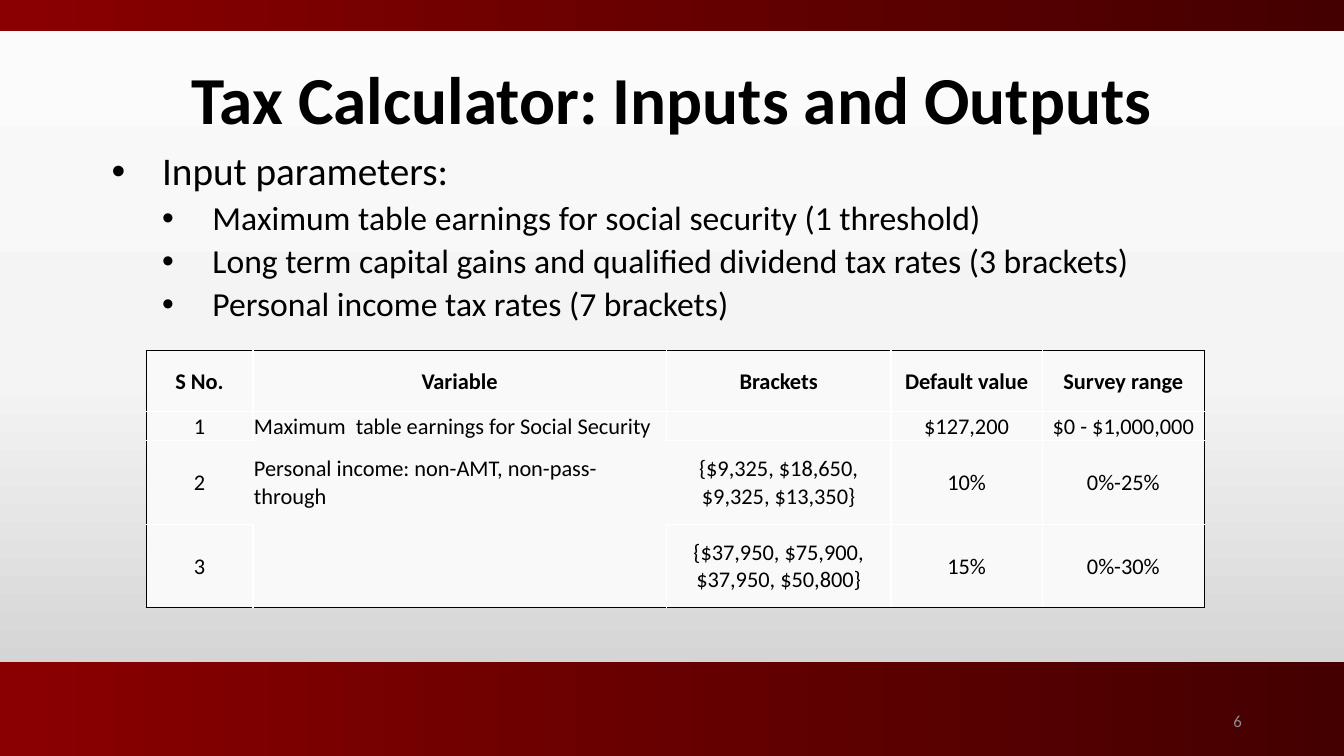
from copy import deepcopy

from lxml import etree
from pptx import Presentation
from pptx import util as u
from pptx.dml.color import RGBColor
from pptx.enum import shapes, text
from pptx.oxml import ns

BLACK = RGBColor(0x00, 0x00, 0x00)
WHITE = RGBColor(0xFF, 0xFF, 0xFF)
NUMBER_GRAY = RGBColor(0x8C, 0x8C, 0x8C)
CELL_GRAY = RGBColor(0xF9, 0xF9, 0xF9)
BAND_COLORS = [RGBColor(0x8A, 0x00, 0x00), RGBColor(0x44, 0x00, 0x00)]
BACKDROP_COLORS = [RGBColor(0xFB, 0xFB, 0xFB), RGBColor(0xF4, 0xF4, 0xF4), RGBColor(0xCB, 0xCB, 0xCB)]

presentation = Presentation()
presentation.slide_width = u.Inches(13.33)
presentation.slide_height = u.Inches(7.5)
slide = presentation.slides.add_slide(presentation.slide_layouts[6])
column = presentation.slide_width / 160
row = presentation.slide_height / 90


def grid(left, top, width, height):
    return [round(n * step) for n, step in zip((left, top, width, height), (column, row) * 2)]


def write(paragraph, words, size, color=BLACK, bold=False, align=text.PP_ALIGN.LEFT):
    paragraph.alignment = align
    run = paragraph.add_run()
    run.text = words
    run.font.name = "Calibri"
    run.font.size = u.Pt(size)
    run.font.bold = bold
    run.font.color.rgb = color


backdrop = slide.background.fill
backdrop.gradient()
backdrop.gradient_angle = 270
stop_list = slide.element.find(".//" + ns.qn("a:gsLst"))
stop_list.insert(1, deepcopy(stop_list[0]))
for index, (stop, color) in enumerate(zip(backdrop.gradient_stops, BACKDROP_COLORS)):
    stop.position = index / 2
    stop.color.rgb = color

title = slide.shapes.add_textbox(*grid(20, 5.64, 120, 11.52)).text_frame
title.word_wrap = True
title.vertical_anchor = text.MSO_ANCHOR.BOTTOM
title.paragraphs[0].line_spacing = 0.9
write(title.paragraphs[0], "Tax Calculator: Inputs and Outputs", 48, bold=True, align=text.PP_ALIGN.CENTER)

for top, height in [(78.84, 11.16), (0, 3.72)]:
    band = slide.shapes.add_shape(shapes.MSO_SHAPE.RECTANGLE, *grid(0, top, 160, height))
    band.shadow.inherit = False
    band.line.fill.background()
    band.fill.gradient()
    band.fill.gradient_angle = 0
    for position, (stop, color) in enumerate(zip(band.fill.gradient_stops, BAND_COLORS)):
        stop.position = position
        stop.color.rgb = color

number = slide.shapes.add_textbox(*grid(113.04, 83.4, 36, 4.8)).text_frame
number.word_wrap = True
number.vertical_anchor = text.MSO_ANCHOR.MIDDLE
write(number.paragraphs[0], "6", 12, NUMBER_GRAY, align=text.PP_ALIGN.RIGHT)

body = slide.shapes.add_textbox(*grid(12.12, 17.52, 135.84, 58.32)).text_frame
body.word_wrap = True
bullets = [
    (0, "Input parameters:"),
    (1, "Maximum table earnings for social security (1 threshold)"),
    (1, "Long term capital gains and qualified dividend tax rates (3 brackets)"),
    (1, "Personal income tax rates (7 brackets)"),
]
for index, (level, words) in enumerate(bullets):
    paragraph = body.add_paragraph() if index else body.paragraphs[0]
    paragraph.level = level
    paragraph.line_spacing = 0.9
    paragraph.space_before = u.Pt(5 if level else 10)
    write(paragraph, words, 24 if level else 28)
    properties = paragraph._p.get_or_add_pPr()
    properties.set("marL", str(round(6 * column * (level + 1))))
    properties.set("indent", str(round(-6 * column)))
    etree.SubElement(properties, ns.qn("a:buFont"), typeface="Arial")
    etree.SubElement(properties, ns.qn("a:buChar"), char="•")

tax_rows = [
    ["S No.", "Variable", "Brackets", "Default value", "Survey range"],
    ["1", "Maximum  table earnings for Social Security", "", "$127,200", "$0 - $1,000,000"],
    ["2", "Personal income: non-AMT, non-pass-through", "{$9,325, $18,650, $9,325, $13,350}", "10%", "0%-25%"],
    ["3", "", "{$37,950, $75,900, $37,950, $50,800}", "15%", "0%-30%"],
]
widths = [12.72, 49.2, 26.76, 18, 19.32]
heights = [7.2, 3.48, 9.96, 9.96]
borderless = (2, 1)
frame = slide.shapes.add_table(len(heights), len(widths), *grid(17.4, 41.76, sum(widths), sum(heights)))
table = frame.table
for table_column, width in zip(table.columns, widths):
    table_column.width = round(width * column)
for table_row, height in zip(table.rows, heights):
    table_row.height = round(height * row)

for r, values in enumerate(tax_rows):
    for c, words in enumerate(values):
        cell = table.cell(r, c)
        cell.vertical_anchor = text.MSO_ANCHOR.MIDDLE
        cell.margin_left = cell.margin_right = cell.margin_top = u.Inches(0.01)
        cell.margin_bottom = 0
        cell.fill.solid()
        cell.fill.fore_color.rgb = CELL_GRAY
        paragraph = cell.text_frame.paragraphs[0]
        if words:
            align = text.PP_ALIGN.LEFT if r and c == 1 else text.PP_ALIGN.CENTER
            write(paragraph, words, 16, bold=r == 0, align=align)
        else:
            etree.SubElement(paragraph._p, ns.qn("a:endParaRPr"), sz="1600")

        neighbours = {"lnL": (r, c - 1), "lnR": (r, c + 1), "lnT": (r - 1, c), "lnB": (r + 1, c)}
        cell_properties = cell._tc.get_or_add_tcPr()
        for position, (side, (near_row, near_column)) in enumerate(neighbours.items()):
            inside = 0 <= near_row < len(heights) and 0 <= near_column < len(widths)
            border = etree.Element(ns.qn("a:" + side), w=str(u.Pt(1)))
            if borderless in ((r, c), (near_row, near_column)):
                etree.SubElement(border, ns.qn("a:noFill"))
            else:
                fill = etree.SubElement(border, ns.qn("a:solidFill"))
                etree.SubElement(fill, ns.qn("a:srgbClr"), val=str(WHITE if inside else BLACK))
            cell_properties.insert(position, border)

presentation.save("out.pptx")
